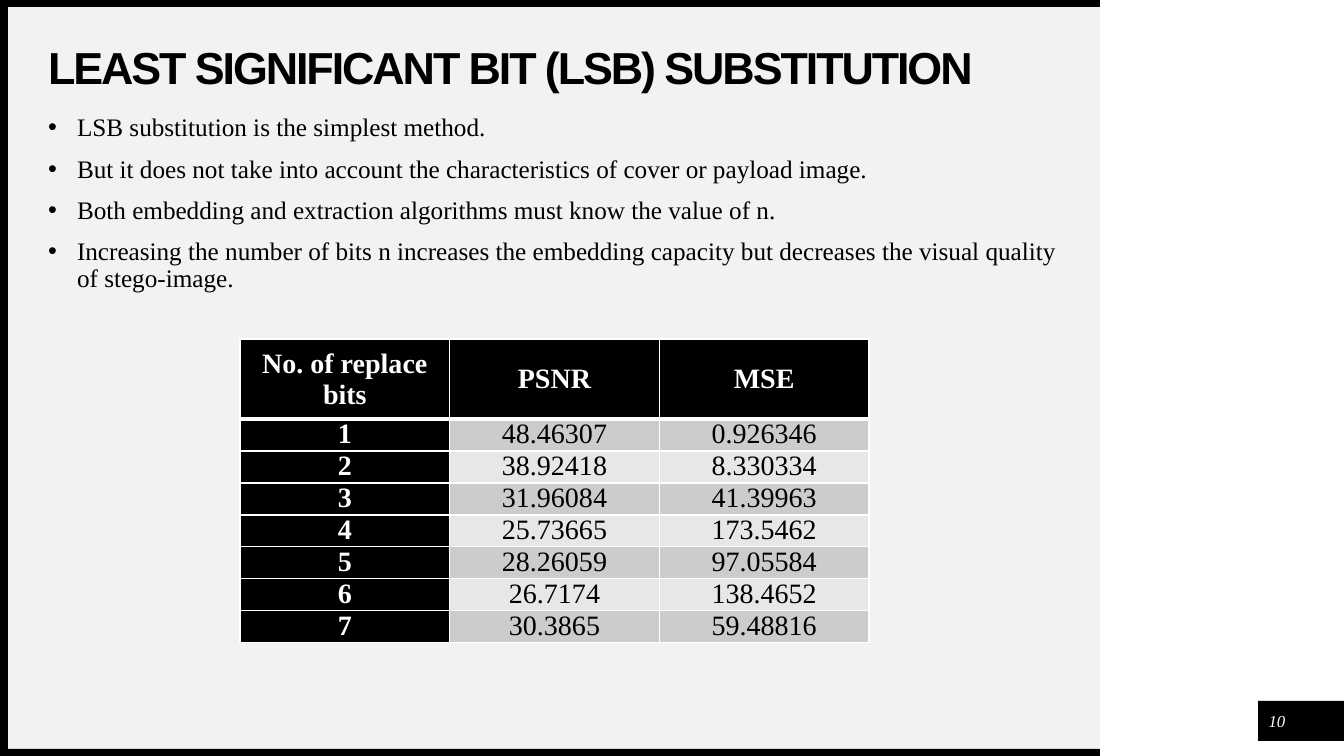
from lxml import etree
from pptx import Presentation
from pptx.dml.color import RGBColor
from pptx.enum.shapes import MSO_SHAPE
from pptx.enum.text import MSO_ANCHOR, PP_ALIGN
from pptx.oxml.ns import qn
from pptx.util import Pt

RECTANGLE = MSO_SHAPE.RECTANGLE
TOP, MIDDLE = MSO_ANCHOR.TOP, MSO_ANCHOR.MIDDLE
LEFT, CENTER = PP_ALIGN.LEFT, PP_ALIGN.CENTER

BLACK = RGBColor(0x00, 0x00, 0x00)
WHITE = RGBColor(0xFF, 0xFF, 0xFF)
PANEL_GREY = RGBColor(0xF2, 0xF2, 0xF2)
BANDS = (RGBColor(0xCC, 0xCC, 0xCC), RGBColor(0xE7, 0xE7, 0xE7))
SERIF, SANS = "Times New Roman", "Arial"

EMU_PER_PX = 914400 / 100.8

POINTS = (
    "LSB substitution is the simplest method.",
    "But it does not take into account the characteristics of cover or payload image.",
    "Both embedding and extraction algorithms must know the value of n.",
    "Increasing the number of bits n increases the embedding capacity "
    "but decreases the visual quality of stego-image.",
)
QUALITY_ROWS = (
    ("No. of replace bits", "PSNR", "MSE"),
    ("1", "48.46307", "0.926346"),
    ("2", "38.92418", "8.330334"),
    ("3", "31.96084", "41.39963"),
    ("4", "25.73665", "173.5462"),
    ("5", "28.26059", "97.05584"),
    ("6", "26.7174", "138.4652"),
    ("7", "30.3865", "59.48816"),
)


def px(length):
    return round(length * EMU_PER_PX)


def add_block(slide, color, *box):
    block = slide.shapes.add_shape(RECTANGLE, *map(px, box))
    block.shadow.inherit = False
    block.fill.solid()
    block.fill.fore_color.rgb = color
    block.line.fill.background()


def add_frame(slide, box, anchor=TOP):
    frame = slide.shapes.add_textbox(*map(px, box)).text_frame
    frame.word_wrap = True
    frame.vertical_anchor = anchor
    frame.margin_left = frame.margin_right = 0
    frame.margin_top = frame.margin_bottom = 0
    return frame


def add_run(paragraph, text, size, font, color, bold=False, italic=False, spacing=0):
    run = paragraph.add_run()
    run.text = text
    run.font.size = Pt(size)
    run.font.name = font
    run.font.bold = bold
    run.font.italic = italic
    run.font.color.rgb = color
    if spacing:
        run.font._element.set("spc", str(round(spacing * 100)))


def add_bullets(slide, points, box):
    frame = add_frame(slide, box)
    for index, point in enumerate(points):
        paragraph = frame.add_paragraph() if index else frame.paragraphs[0]
        properties = paragraph._p.get_or_add_pPr()
        properties.set("marL", str(px(29)))
        properties.set("indent", str(px(-29)))
        etree.SubElement(properties, qn("a:buFont")).set("typeface", SANS)
        etree.SubElement(properties, qn("a:buChar")).set("char", "•")
        paragraph.alignment = LEFT
        paragraph.line_spacing = 0.9
        if index:
            paragraph.space_before = Pt(10)
        add_run(paragraph, point, 18, SERIF, BLACK)


def set_borders(cell, top, bottom):
    properties = cell._tc.get_or_add_tcPr()
    for side, width in (("L", 1), ("R", 1), ("T", top), ("B", bottom)):
        border = etree.SubElement(properties, qn(f"a:ln{side}"), w=str(Pt(width)))
        fill = etree.SubElement(border, qn("a:solidFill"))
        etree.SubElement(fill, qn("a:srgbClr")).set("val", str(WHITE))


def add_quality_table(slide, rows, left, top, width, header_height, row_height):
    height = header_height + row_height * (len(rows) - 1)
    table = slide.shapes.add_table(
        len(rows), len(rows[0]), px(left), px(top), px(width), px(height)
    ).table
    table.horz_banding = False
    for r, values in enumerate(rows):
        table.rows[r].height = px(row_height if r else header_height)
        for c, value in enumerate(values):
            heading = r == 0 or c == 0
            cell = table.cell(r, c)
            set_borders(cell, 3 if r == 1 else 1, 3 if r == 0 else 1)
            cell.fill.solid()
            cell.fill.fore_color.rgb = BLACK if heading else BANDS[(r - 1) % 2]
            cell.vertical_anchor = MIDDLE
            cell.margin_left = cell.margin_right = cell.margin_top = px(1)
            cell.margin_bottom = 0
            paragraph = cell.text_frame.paragraphs[0]
            paragraph.alignment = CENTER
            paragraph.line_spacing = 0.9 if r else 1.0
            add_run(paragraph, value, 20, SERIF, WHITE if heading else BLACK, heading)


def add_background(slide):
    add_block(slide, PANEL_GREY, 8, 7, 1092, 742)
    add_block(slide, BLACK, 1258, 701, 86, 40)
    for edge in ((0, 749, 1100, 7), (0, 0, 1100, 7), (0, 3, 8, 753)):
        add_block(slide, BLACK, *edge)


def main():
    deck = Presentation()
    deck.slide_width, deck.slide_height = px(1344), px(756)
    slide = deck.slides.add_slide(deck.slide_layouts[6])

    add_background(slide)

    title = add_frame(slide, (48, 47, 1014, 47), MIDDLE).paragraphs[0]
    title.line_spacing = 0.9
    add_run(title, "LEAST SIGNIFICANT BIT (LSB) SUBSTITUTION", 32, SANS, BLACK,
            bold=True, spacing=-1.5)

    add_bullets(slide, POINTS, (48, 115, 1014, 211))

    page_number = add_frame(slide, (1262, 706, 30, 30), MIDDLE).paragraphs[0]
    page_number.alignment = CENTER
    add_run(page_number, "10", 12, SERIF, WHITE, italic=True)

    add_quality_table(slide, QUALITY_ROWS, 240, 339, 629, 80, 32)

    deck.save("out.pptx")


if __name__ == "__main__":
    main()
